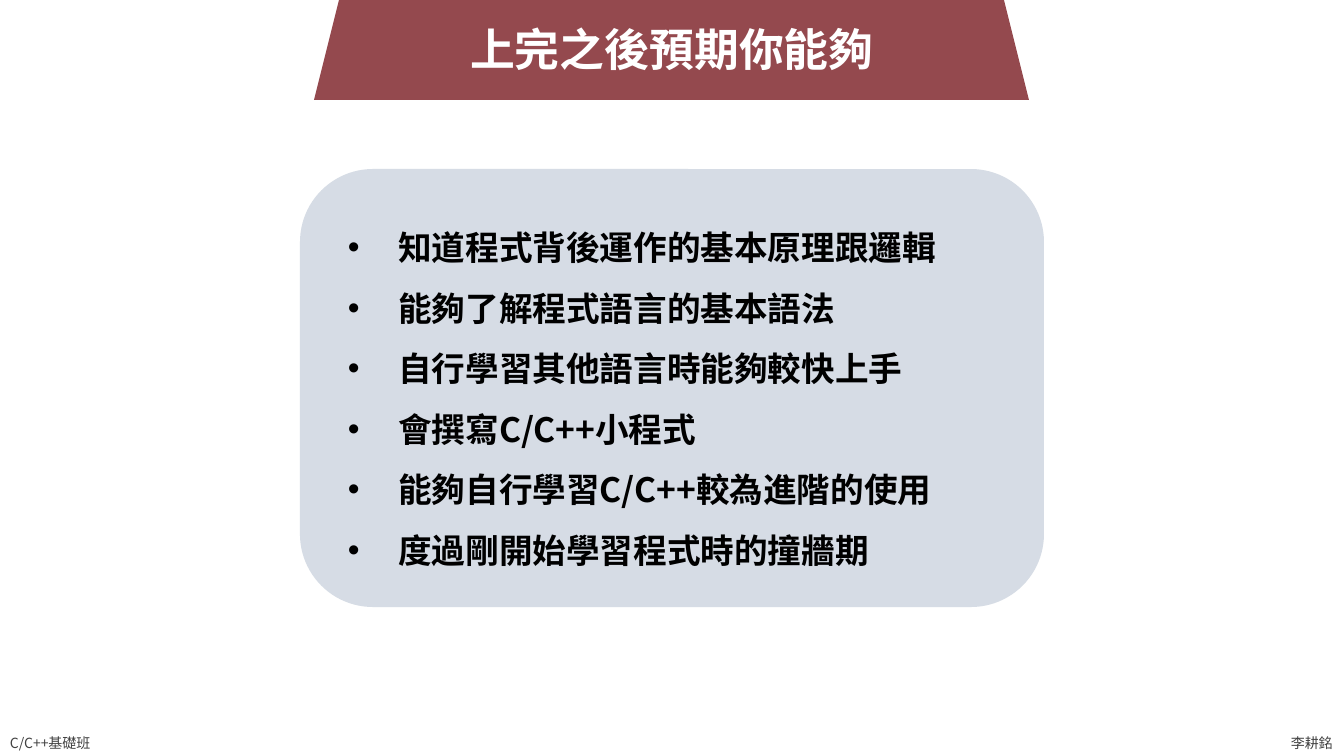
from lxml import etree
from pptx import Presentation, util as u
from pptx.dml.color import RGBColor
from pptx.enum import shapes, text
from pptx.oxml.ns import qn

TITLE = "上完之後預期你能夠"
GOALS = [
    "知道程式背後運作的基本原理跟邏輯",
    "能夠了解程式語言的基本語法",
    "自行學習其他語言時能夠較快上手",
    "會撰寫C/C++小程式",
    "能夠自行學習C/C++較為進階的使用",
    "度過剛開始學習程式時的撞牆期",
]
COURSE, TEACHER = "C/C++基礎班", "李耕銘"
FONT = "Noto Sans CJK TC"
COLORS = {"panel": "D6DCE5", "banner": "94494E", "title": "FFFFFF",
          "goal": "000000", "footer": "404040"}
WIDTH, HEIGHT = 1344, 756
PX = u.Inches(7.5) / HEIGHT
INDENT = u.Inches(0.5)


def px(*lengths):
    return [round(length * PX) for length in lengths]


def color(name):
    return RGBColor.from_string(COLORS[name])


def centred(width):
    return (WIDTH - width) // 2


def add_panel(page, kind, top, width, height, fill):
    panel = page.shapes.add_shape(kind, *px(centred(width), top, width, height))
    panel.shadow.inherit = False
    panel.fill.solid()
    panel.fill.fore_color.rgb = color(fill)
    panel.line.fill.background()


def write(box, lines, size, ink, bold=False, wrap=False,
          anchor=text.MSO_ANCHOR.TOP, align=text.PP_ALIGN.LEFT):
    frame = box.text_frame
    frame.text = "\n".join(lines)
    frame.word_wrap = wrap
    frame.auto_size = text.MSO_AUTO_SIZE.NONE
    frame.vertical_anchor = anchor
    for para in frame.paragraphs:
        para.alignment = align
        font = para.font
        font.name, font.size, font.bold = FONT, u.Pt(size), bold
        font.color.rgb = color(ink)
        defaults = para._p.pPr.find(qn("a:defRPr"))
        etree.SubElement(defaults, qn("a:ea")).set("typeface", FONT)


def add_bullet(para):
    para.line_spacing = 1.5
    props = para._p.pPr
    props.set("marL", str(INDENT))
    props.set("indent", str(-INDENT))
    defaults = props.find(qn("a:defRPr"))
    for tag, key, value in (("a:buFont", "typeface", "Arial"), ("a:buChar", "char", "•")):
        mark = etree.Element(qn(tag))
        mark.set(key, value)
        defaults.addprevious(mark)


def main():
    deck = Presentation()
    deck.slide_width, deck.slide_height = px(WIDTH, HEIGHT)
    page = deck.slides.add_slide(deck.slide_layouts[5])

    kinds = shapes.MSO_SHAPE
    add_panel(page, kinds.ROUNDED_RECTANGLE, 169, 744, 438, "panel")
    add_panel(page, kinds.TRAPEZOID, -23, 715, 123, "banner")

    title = page.shapes.title
    title.left, title.top, title.width, title.height = px(centred(428), 17, 428, 64)
    write(title, [TITLE], 32, "title", bold=True, align=text.PP_ALIGN.CENTER)
    page.shapes._spTree.append(title._element)

    for line, left, width in ((COURSE, 0, 108), (TEACHER, WIDTH - 63, 63)):
        footer = page.shapes.add_textbox(*px(left, HEIGHT - 27, width, 27))
        write(footer, [line], 10, "footer", anchor=text.MSO_ANCHOR.MIDDLE)

    goals = page.shapes.add_textbox(*px(338, 202, 669, 369))
    write(goals, GOALS, 24, "goal", bold=True, wrap=True)
    for para in goals.text_frame.paragraphs:
        add_bullet(para)

    deck.save("out.pptx")


if __name__ == "__main__":
    main()
